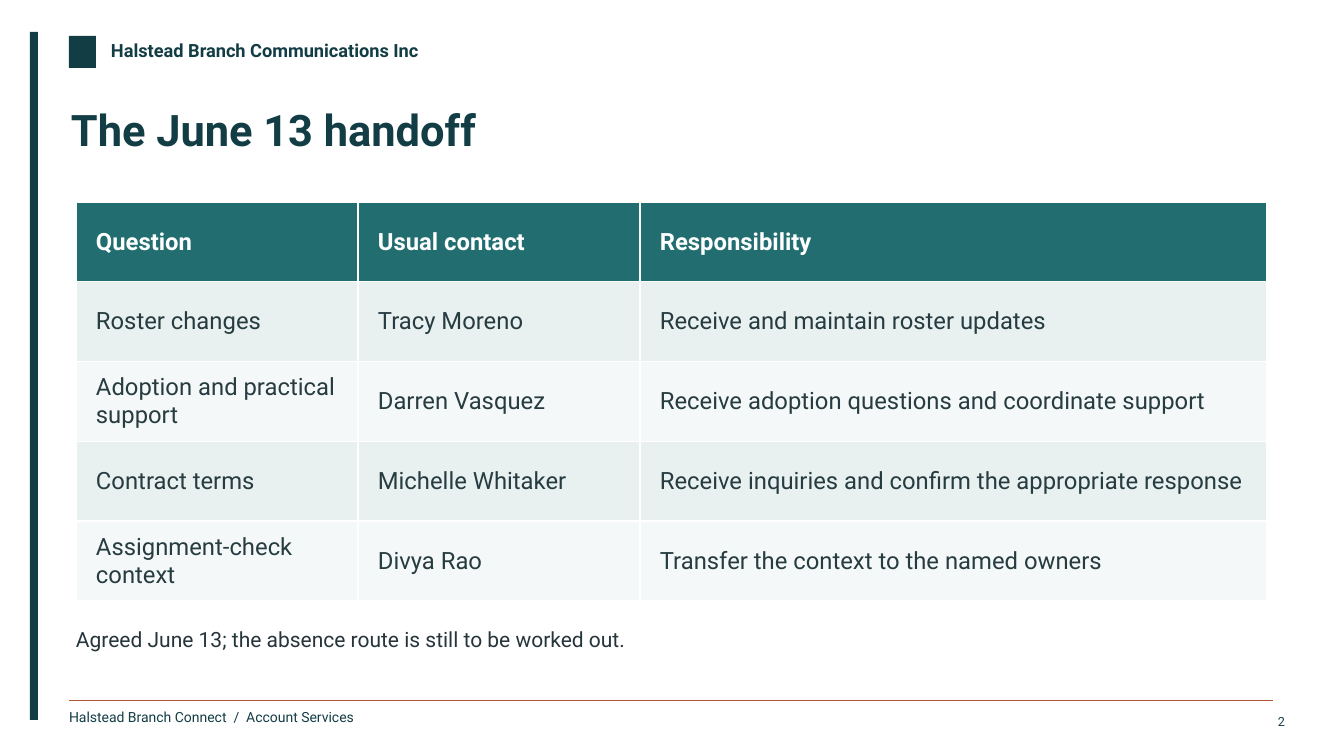
from lxml.etree import SubElement
from pptx import Presentation
from pptx.dml.color import RGBColor
from pptx.enum.shapes import MSO_SHAPE
from pptx.enum.text import MSO_ANCHOR, MSO_AUTO_SIZE, PP_ALIGN
from pptx.oxml.ns import qn
from pptx.util import Pt

TITLE = "The June 13 handoff"
NOTE = "Agreed June 13; the absence route is still to be worked out."
COMPANY = "Halstead Branch Communications Inc"
FOOTER = "Halstead Branch Connect  /  Account Services"
PAGE_NUMBER = "2"
HANDOFF = [
    ("Question", "Usual contact", "Responsibility"),
    ("Roster changes", "Tracy Moreno", "Receive and maintain roster updates"),
    ("Adoption and practical support", "Darren Vasquez",
     "Receive adoption questions and coordinate support"),
    ("Contract terms", "Michelle Whitaker",
     "Receive inquiries and confirm the appropriate response"),
    ("Assignment-check context", "Divya Rao", "Transfer the context to the named owners"),
]

COLORS = {
    "ink": "133D45", "rust": "AF5636", "teal": "216D70", "white": "FFFFFF",
    "cell": "263C40", "note": "26353B", "page": "163F47",
    "band_dark": "E8F0F0", "band_light": "F5F8F8",
}
FONT = "Roboto"
EMU_PER_PX = 914400 / 100.8

BARS = [
    ((30, 32, 8, 688), "ink"),
    ((69, 36, 27, 32), "ink"),
    ((69, 700, 1204, 1), "rust"),
]
LABELS = [
    (COMPANY, (111, 39, 358, 27), 13, "ink", True, PP_ALIGN.LEFT),
    (FOOTER, (69, 709, 320, 23), 10, "ink", False, PP_ALIGN.LEFT),
    (PAGE_NUMBER, (1230, 714, 55, 22), 9, "page", False, PP_ALIGN.RIGHT),
]
TITLE_BOX = (71, 103, 1200, 87)
NOTE_BOX = (76, 627, 1191, 44)
TABLE_BOX = (76, 202, 1191, 399)
COLUMN_WIDTHS = (282, 282, 627)


def px(length):
    return round(length * EMU_PER_PX)


def color(name):
    return RGBColor.from_string(COLORS[name])


def format_text(text_frame, size, color_name, bold=False, align=PP_ALIGN.LEFT):
    for paragraph in text_frame.paragraphs:
        paragraph.alignment = align
        for run in paragraph.runs:
            run.font.name = FONT
            run.font.size = Pt(size)
            run.font.bold = bold
            run.font.color.rgb = color(color_name)


def fill_frame(shape, text, size, color_name, bold=False, align=PP_ALIGN.LEFT):
    frame = shape.text_frame
    frame.text = text
    frame.word_wrap = True
    frame.auto_size = MSO_AUTO_SIZE.NONE
    frame.vertical_anchor = MSO_ANCHOR.TOP
    frame.margin_left = frame.margin_top = frame.margin_right = frame.margin_bottom = 0
    format_text(frame, size, color_name, bold, align)


def place(shape, box):
    shape.left, shape.top, shape.width, shape.height = map(px, box)


def remove_bullet(paragraph):
    properties = paragraph._p.get_or_add_pPr()
    properties.set("marL", "0")
    properties.set("indent", "0")
    SubElement(properties, qn("a:buNone"))


def add_bar(slide, box, color_name):
    bar = slide.shapes.add_shape(MSO_SHAPE.RECTANGLE, *map(px, box))
    bar.shadow.inherit = False
    bar.fill.solid()
    bar.fill.fore_color.rgb = color(color_name)
    bar.line.fill.background()


def add_borders(cell):
    properties = cell._tc.get_or_add_tcPr()
    for side in ("lnL", "lnR", "lnT", "lnB"):
        line = SubElement(properties, qn(f"a:{side}"), w=str(Pt(1)))
        solid = SubElement(line, qn("a:solidFill"))
        SubElement(solid, qn("a:srgbClr"), val=COLORS["white"])


def add_handoff_table(slide):
    table = slide.shapes.add_table(
        len(HANDOFF), len(COLUMN_WIDTHS), *map(px, TABLE_BOX)).table
    for column, width in zip(table.columns, COLUMN_WIDTHS):
        column.width = px(width)
    for row_index, texts in enumerate(HANDOFF):
        table.rows[row_index].height = px(TABLE_BOX[3] / len(HANDOFF))
        header = row_index == 0
        band = "teal" if header else ("band_light", "band_dark")[row_index % 2]
        for column_index, text in enumerate(texts):
            cell = table.cell(row_index, column_index)
            add_borders(cell)
            cell.fill.solid()
            cell.fill.fore_color.rgb = color(band)
            cell.vertical_anchor = MSO_ANCHOR.MIDDLE
            cell.margin_left, cell.margin_right = px(20), px(10)
            cell.margin_top = cell.margin_bottom = px(5)
            cell.text_frame.text = text
            format_text(cell.text_frame, 17, "white" if header else "cell", header)


def main():
    presentation = Presentation()
    presentation.slide_width, presentation.slide_height = px(1344), px(756)
    slide = presentation.slides.add_slide(presentation.slide_layouts[1])
    slide.background.fill.solid()
    slide.background.fill.fore_color.rgb = color("white")

    for box, color_name in BARS:
        add_bar(slide, box, color_name)
    for text, box, *style in LABELS:
        fill_frame(slide.shapes.add_textbox(*map(px, box)), text, *style)

    title, note = slide.shapes.title, slide.placeholders[1]
    place(title, TITLE_BOX)
    fill_frame(title, TITLE, 31, "ink", True)
    place(note, NOTE_BOX)
    fill_frame(note, NOTE, 15, "note")
    note_paragraph = note.text_frame.paragraphs[0]
    remove_bullet(note_paragraph)
    note_paragraph.space_before = Pt(0)

    add_handoff_table(slide)
    presentation.save("out.pptx")


if __name__ == "__main__":
    main()
